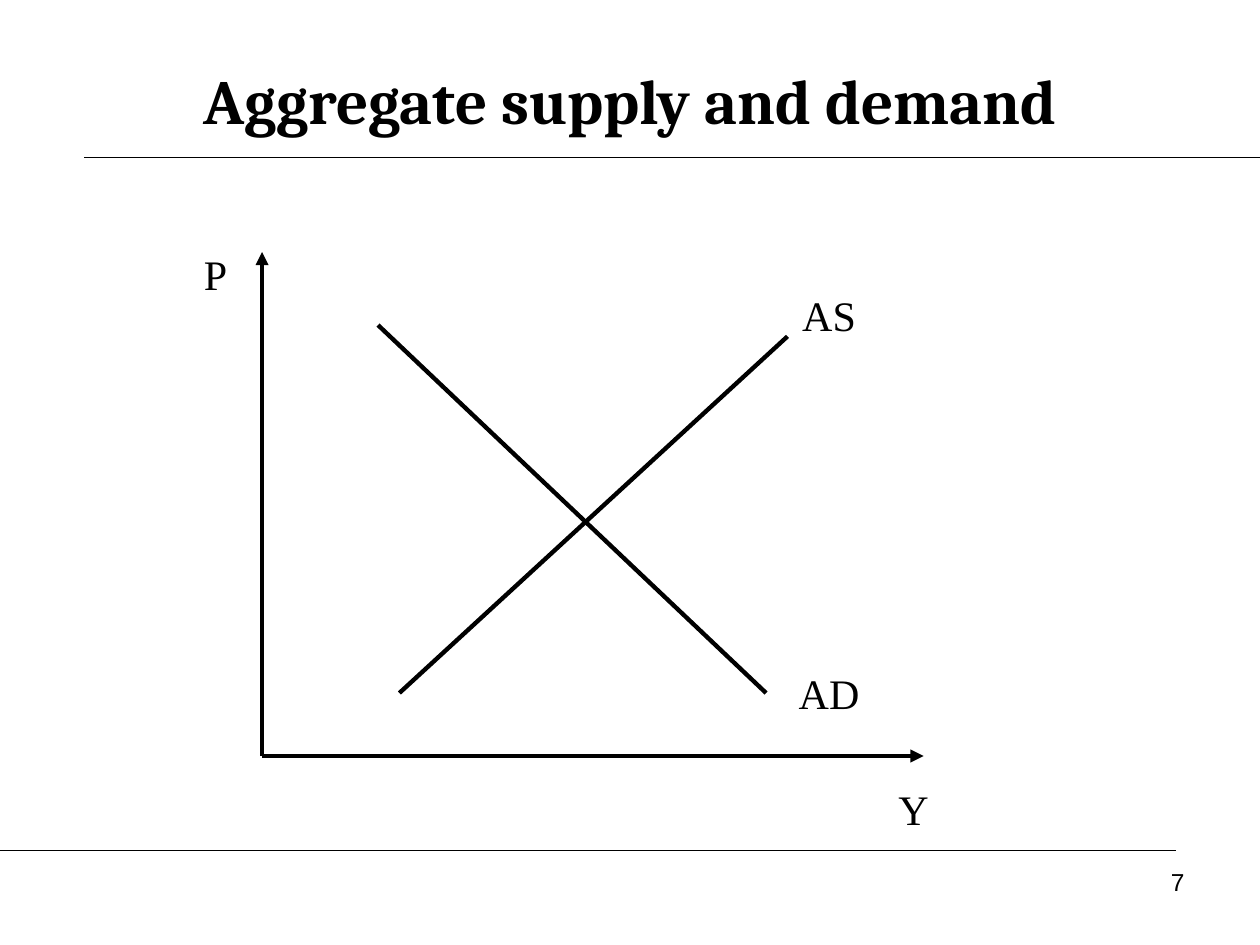
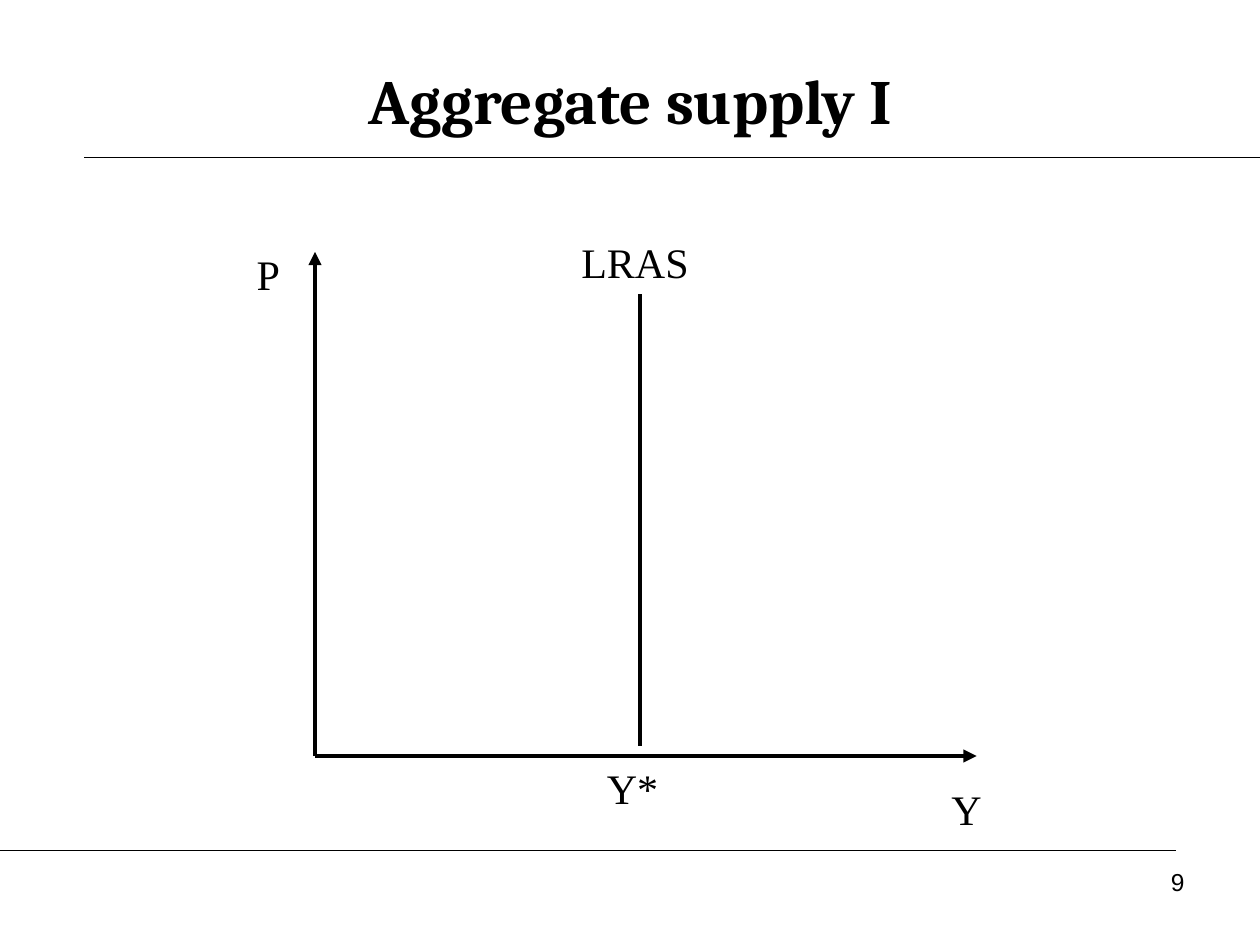
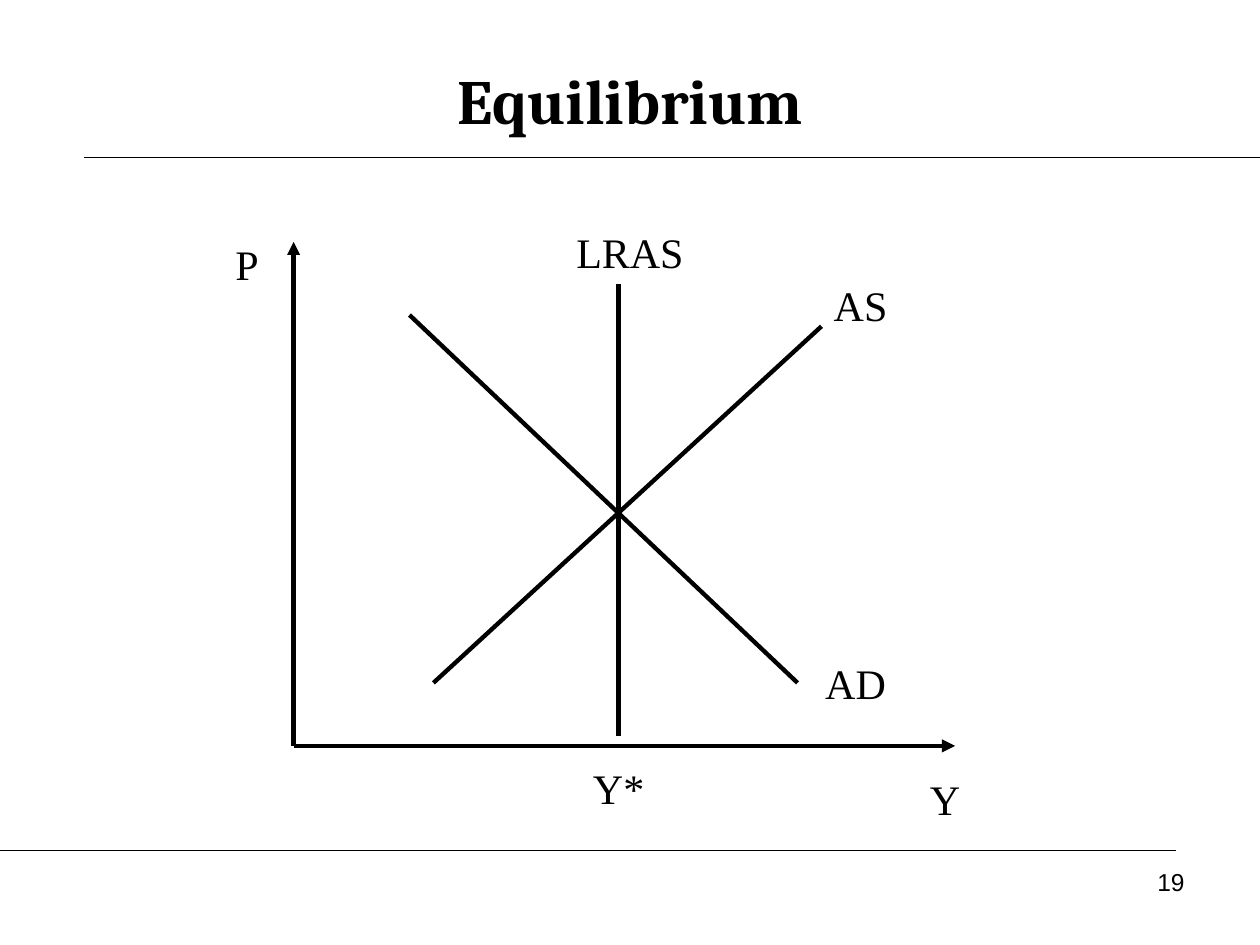
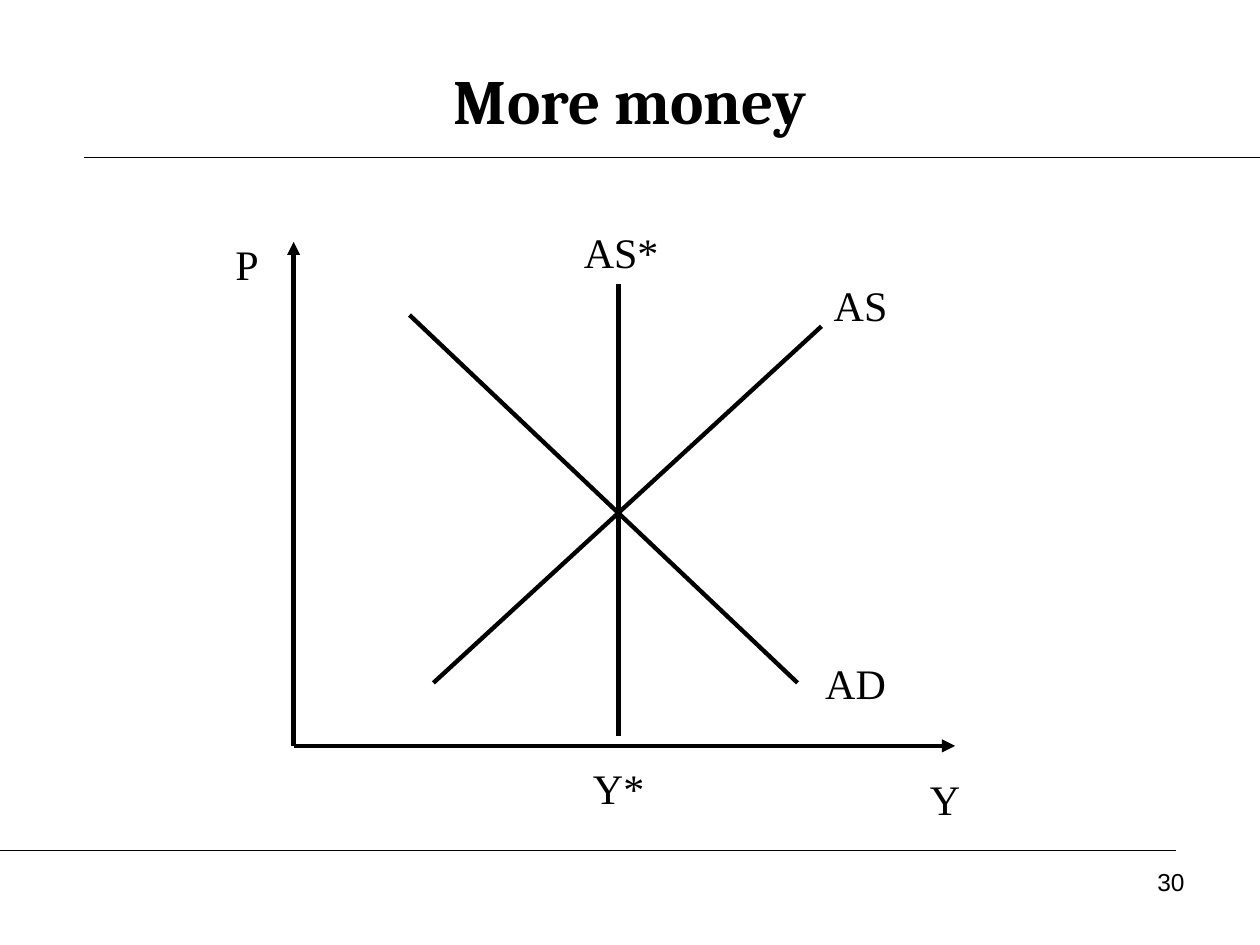
import pptx
import pptx.dml.color
import pptx.enum.shapes
import pptx.enum.text
import pptx.oxml
import pptx.oxml.ns
import pptx.util
from pptx.util import Inches

INK = "000000"
PAPER = "FFFFFF"
TITLE_FONT, LABEL_FONT, NUMBER_FONT = "Cambria", "Times New Roman", "Arial"
ALIGN = pptx.enum.text.PP_ALIGN
ANCHOR = pptx.enum.text.MSO_ANCHOR
LABEL_HEIGHT = 0.5
AXIS_WIDTH, AXIS_HEIGHT = 5.25, 4


def color(hex_code):
    return pptx.dml.color.RGBColor.from_string(hex_code)


def add_line(shapes, start, end, weight=2.5, arrow=False):
    """Straight line between two points in inches."""
    line = shapes.add_connector(
        pptx.enum.shapes.MSO_CONNECTOR.STRAIGHT,
        Inches(start[0]), Inches(start[1]), Inches(end[0]), Inches(end[1]))
    line.line.color.rgb = color(INK)
    line.line.width = pptx.util.Pt(weight)
    if arrow:
        outline = line.line._get_or_add_ln()
        outline.append(pptx.oxml.parse_xml(
            f'<a:tailEnd {pptx.oxml.ns.nsdecls("a")} type="triangle"/>'))
    line._element.spPr.append(pptx.oxml.parse_xml(
        f'<a:effectLst {pptx.oxml.ns.nsdecls("a")}/>'))


def add_text(shapes, text, box, font, size, align, bold=False, anchor=ANCHOR.TOP):
    frame = shapes.add_textbox(*(Inches(length) for length in box)).text_frame
    frame.word_wrap = True
    frame.vertical_anchor = anchor
    paragraph = frame.paragraphs[0]
    paragraph.text = text
    paragraph.alignment = align
    paragraph.font.name = font
    paragraph.font.size = pptx.util.Pt(size)
    paragraph.font.bold = bold
    paragraph.font.color.rgb = color(INK)
    return frame


def add_label(shapes, text, center, top, width=0.67):
    box = (center - width / 2, top, width, LABEL_HEIGHT)
    frame = add_text(shapes, text, box, LABEL_FONT, 24, ALIGN.CENTER)
    frame.auto_size = pptx.enum.text.MSO_AUTO_SIZE.SHAPE_TO_FIT_TEXT


def add_frame(prs, title, number):
    """New slide with its rules, title and page number."""
    slide = prs.slides.add_slide(prs.slide_layouts[6])
    slide.background.fill.solid()
    slide.background.fill.fore_color.rgb = color(PAPER)
    add_line(slide.shapes, (0.67, 1.25), (10, 1.25), 0.75)
    add_line(slide.shapes, (0, 6.75), (9.33, 6.75), 0.75)
    add_text(slide.shapes, title, (0.5, 0.33, 9, 0.92), TITLE_FONT, 36,
             ALIGN.CENTER, bold=True, anchor=ANCHOR.MIDDLE)
    add_text(slide.shapes, str(number), (7.17, 6.83, 2.33, 0.52), NUMBER_FONT,
             14, ALIGN.RIGHT)
    return slide


def add_axes(shapes, x, y):
    """Output and price axes from the origin (x, y)."""
    add_line(shapes, (x, y), (x + AXIS_WIDTH, y), arrow=True)
    add_line(shapes, (x, y), (x, y - AXIS_HEIGHT), arrow=True)
    add_label(shapes, "Y", x + 5.17, y + 0.17)
    add_label(shapes, "P", x - 0.37, y - 4.08, 0.58)


def add_cross(shapes, x, y, supply_start, demand_center):
    """Rising supply and falling demand curves."""
    supply_x = x + supply_start
    add_line(shapes, (supply_x, y - 0.5), (supply_x + 3.08, y - 3.33))
    add_label(shapes, "AS", x + 4.5, y - 3.75)
    add_label(shapes, "AD", x + demand_center, y - 0.75, 0.9)
    add_line(shapes, (x + 4, y - 0.5), (x + 0.92, y - 3.42))


def add_long_run(shapes, x, y, name, name_center):
    """Vertical long-run supply curve."""
    add_line(shapes, (x + 2.58, y - 0.08), (x + 2.58, y - 3.67))
    add_label(shapes, name, x + name_center, y - 4.17, 1.2)


def add_diagram_slide(prs, title, number, origin, cross=None, long_run=None,
                      natural_output=None):
    slide = add_frame(prs, title, number)
    diagram = slide.shapes.add_group_shape().shapes
    add_axes(diagram, *origin)
    if cross:
        add_cross(diagram, *origin, *cross)
    if long_run:
        add_long_run(diagram, *origin, *long_run)
    if natural_output:
        add_label(slide.shapes, "Y*", origin[0] + natural_output, 6)


def main():
    prs = pptx.Presentation()
    prs.slide_width, prs.slide_height = Inches(10), Inches(7.5)

    add_diagram_slide(prs, "Aggregate supply and demand", 7, (2.08, 6),
                      cross=(1.09, 4.5))
    add_diagram_slide(prs, "Aggregate supply I", 9, (2.5, 6),
                      long_run=("LRAS", 2.54), natural_output=2.52)

    # Both equilibrium diagrams differ only in the long-run label
    for title, number, long_run in (("Equilibrium", 19, ("LRAS", 2.67)),
                                    ("More money", 30, ("AS*", 2.6))):
        add_diagram_slide(prs, title, number, (2.33, 5.92), cross=(1.11, 4.46),
                          long_run=long_run, natural_output=2.58)

    prs.save("out.pptx")


if __name__ == "__main__":
    main()
